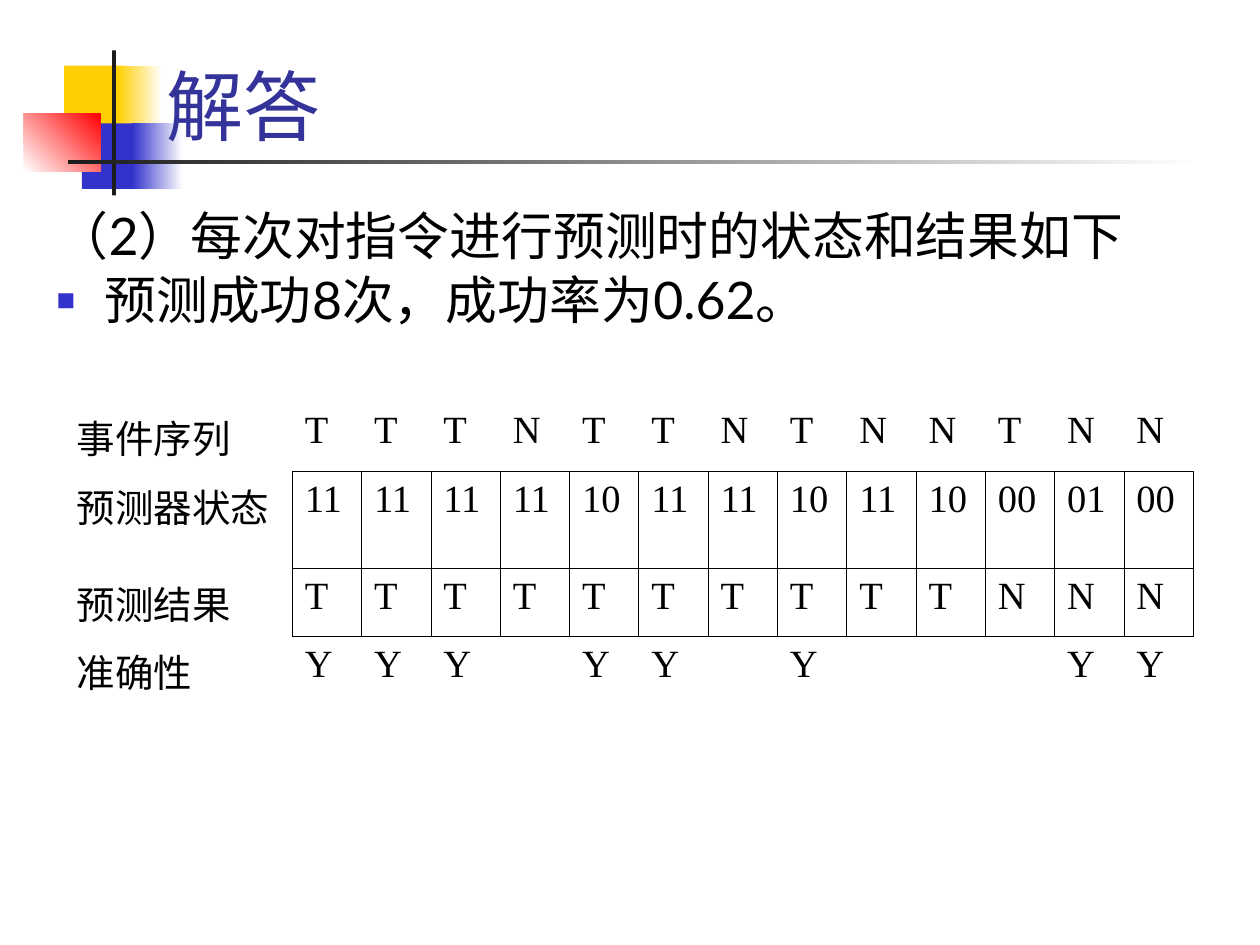
import dataclasses
import typing

import lxml.etree
import pptx
import pptx.dml.color
import pptx.enum.shapes
import pptx.enum.text
import pptx.oxml.ns
import pptx.util

Inches = pptx.util.Inches
Pt = pptx.util.Pt
qn = pptx.oxml.ns.qn


@dataclasses.dataclass(frozen=True)
class Theme:
    gold: str = "FFCF01"
    blue: str = "3333CC"
    red: str = "FF0000"
    dark: str = "1C1C1C"
    white: str = "FFFFFF"
    navy: str = "333399"
    black: str = "000000"
    sans: str = "Lato"
    serif: str = "Times New Roman"
    head: float = 44
    body: float = 29.6
    cell: float = 22
    rule: float = 0.45


class Block(typing.NamedTuple):
    left: float
    top: float
    width: float
    height: float
    start: str
    end: str | None = None
    angle: float = 0


class Item(typing.NamedTuple):
    text: str
    mark: str | None = None


THEME = Theme()
BLOCKS = [
    Block(0.51, 0.52, 0.48, 0.52, THEME.gold),
    Block(0.93, 0.52, 0.36, 0.52, THEME.gold, THEME.white),
    Block(0.65, 0.98, 0.46, 0.52, THEME.blue),
    Block(1.05, 0.98, 0.4, 0.52, THEME.blue, THEME.white),
    Block(0.19, 0.9, 0.61, 0.46, THEME.white, THEME.red, 45),
    Block(0.89, 0.4, 0.03, 1.15, THEME.dark),
    Block(0.54, 1.27, 9, 0.03, THEME.dark, THEME.white),
]
ITEMS = [
    Item("（2）每次对指令进行预测时的状态和结果如下"),
    Item("预测成功8次，成功率为0.62。", "■"),
]
ROWS = [
    ["事件序列", *"TTTNTTNTNNTNN"],
    ["预测器状态", *"11 11 11 11 10 11 11 10 11 10 00 01 00".split()],
    ["预测结果", *"TTTTTTTTTTNNN"],
    ["准确性", *"YYY", "", *"YY", "", "Y", "", "", "", *"YY"],
]
WIDTHS = [1.81] + [0.55] * 13
HEIGHTS = [0.54, 0.77, 0.54, 0.91]
SIDES = {"lnL": (0, -1), "lnR": (0, 1), "lnT": (-1, 0), "lnB": (1, 0)}


def tint(code: str) -> pptx.dml.color.RGBColor:
    return pptx.dml.color.RGBColor.from_string(code)


def style(para, face: str, size: float, code: str) -> None:
    para.font.name = face
    para.font.size = Pt(size)
    para.font.color.rgb = tint(code)


def place(shape, left: float, top: float, width: float, height: float) -> None:
    shape.left, shape.top = Inches(left), Inches(top)
    shape.width, shape.height = Inches(width), Inches(height)


def draw_block(slide, block: Block) -> None:
    kind = pptx.enum.shapes.MSO_SHAPE.RECTANGLE
    shape = slide.shapes.add_shape(kind, *map(Inches, block[:4]))
    shape.shadow.inherit = False
    shape.line.fill.background()
    if block.end is None:
        shape.fill.solid()
        shape.fill.fore_color.rgb = tint(block.start)
        return
    shape.fill.gradient()
    shape.fill.gradient_angle = block.angle
    for stop, code in zip(shape.fill.gradient_stops, (block.start, block.end)):
        stop.color.rgb = tint(code)


def draw_title(slide) -> None:
    title = slide.shapes.title
    place(title, 1.22, 0, 8.52, 1.25)
    frame = title.text_frame
    frame.text = "解答"
    frame.auto_size = pptx.enum.text.MSO_AUTO_SIZE.NONE
    frame.vertical_anchor = pptx.enum.text.MSO_ANCHOR.BOTTOM
    para = frame.paragraphs[0]
    para.alignment = pptx.enum.text.PP_ALIGN.LEFT
    style(para, THEME.sans, THEME.head, THEME.navy)
    slide.shapes._spTree.append(title._element)


def set_mark(para, mark: str | None) -> None:
    props = para._p.get_or_add_pPr()
    props.set("marL", str(Inches(0.38)))
    props.set("indent", str(Inches(-0.38)))
    if mark is None:
        lxml.etree.SubElement(props, qn("a:buNone"))
        return
    shade = lxml.etree.SubElement(props, qn("a:buClr"))
    lxml.etree.SubElement(shade, qn("a:srgbClr"), val=THEME.blue)
    lxml.etree.SubElement(props, qn("a:buSzPct"), val="60000")
    lxml.etree.SubElement(props, qn("a:buChar"), char=mark)


def draw_list(slide, items: list[Item]) -> None:
    body = slide.placeholders[1]
    place(body, 0.35, 1.62, 9.37, 1.6)
    frame = body.text_frame
    frame.text = "\n".join(item.text for item in items)
    frame.auto_size = pptx.enum.text.MSO_AUTO_SIZE.NONE
    for rank, (para, item) in enumerate(zip(frame.paragraphs, items)):
        set_mark(para, item.mark)
        para.line_spacing = 0.9
        para.space_before = Pt(5 if rank else 0)
        style(para, THEME.sans, THEME.body, THEME.black)
    slide.shapes._spTree.append(body._element)


def boxed(row: int, col: int) -> bool:
    return row in (1, 2) and 1 <= col <= 13


def set_edges(cell, row: int, col: int) -> None:
    props = cell._tc.get_or_add_tcPr()
    for rank, (side, (down, right)) in enumerate(SIDES.items()):
        edge = lxml.etree.Element(qn(f"a:{side}"), w=str(Pt(THEME.rule)))
        if boxed(row, col) or boxed(row + down, col + right):
            fill = lxml.etree.SubElement(edge, qn("a:solidFill"))
            lxml.etree.SubElement(fill, qn("a:srgbClr"), val=THEME.black)
        else:
            lxml.etree.SubElement(edge, qn("a:noFill"))
        props.insert(rank, edge)


def draw_table(slide, rows: list[list[str]]) -> None:
    area = map(Inches, (0.51, 3.2, sum(WIDTHS), sum(HEIGHTS)))
    table = slide.shapes.add_table(len(rows), len(WIDTHS), *area).table
    table.first_row = table.horz_banding = False
    for column, width in zip(table.columns, WIDTHS):
        column.width = Inches(width)
    for line, height in zip(table.rows, HEIGHTS):
        line.height = Inches(height)
    for row, texts in enumerate(rows):
        for col, text in enumerate(texts):
            cell = table.cell(row, col)
            cell.text = text
            cell.fill.background()
            style(cell.text_frame.paragraphs[0], THEME.serif, THEME.cell, THEME.black)
            set_edges(cell, row, col)


def main() -> None:
    deck = pptx.Presentation()
    deck.slide_width, deck.slide_height = Inches(10), Inches(7.5)
    slide = deck.slides.add_slide(deck.slide_layouts[1])
    for block in BLOCKS:
        draw_block(slide, block)
    draw_title(slide)
    draw_list(slide, ITEMS)
    draw_table(slide, ROWS)
    deck.save("out.pptx")


if __name__ == "__main__":
    main()
